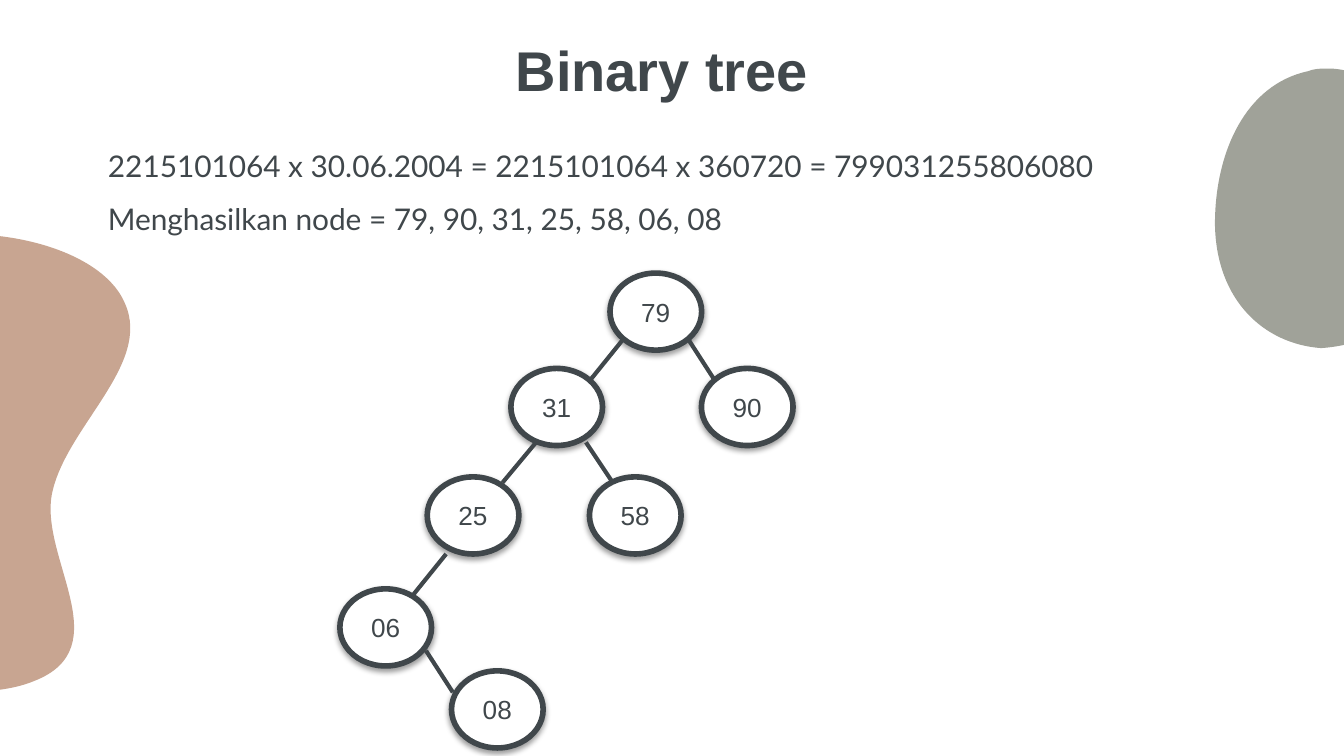
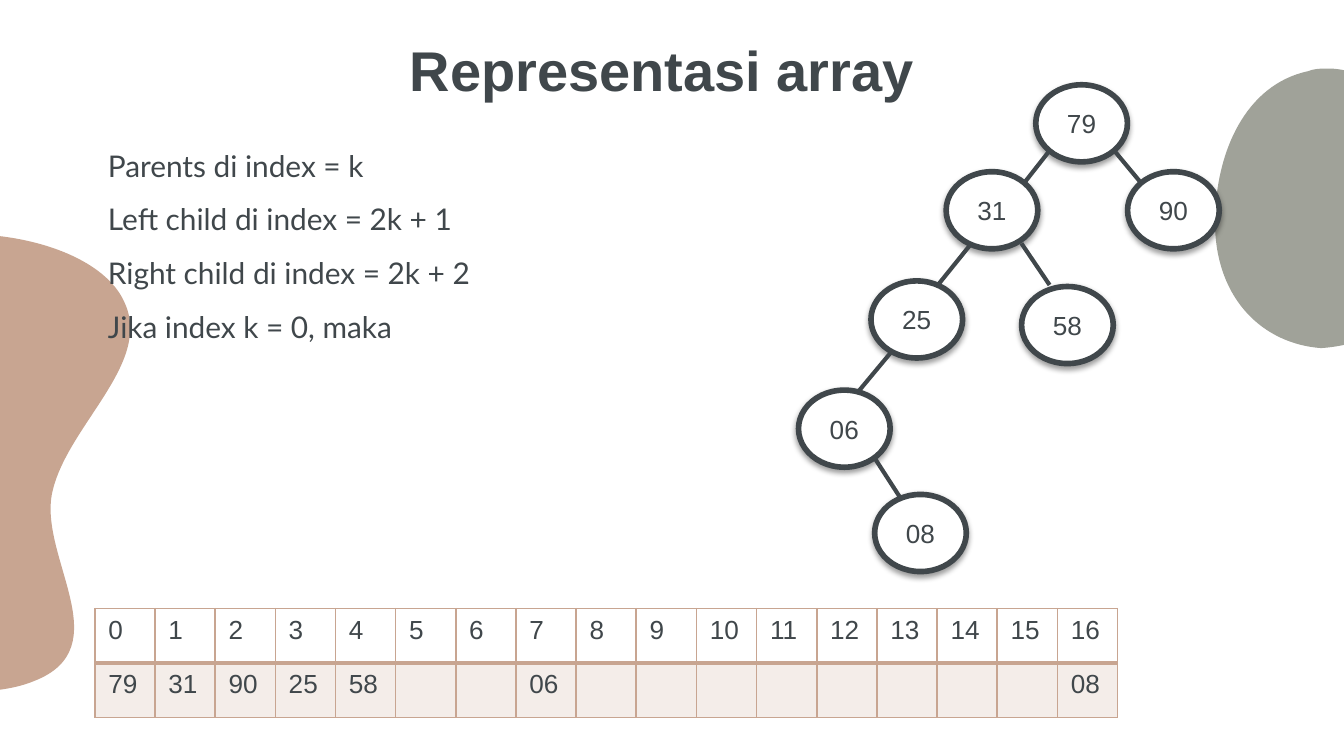
from math import cos, radians, sin

from lxml.etree import SubElement
from pptx import Presentation
from pptx.dml.color import RGBColor
from pptx.enum.shapes import MSO_CONNECTOR as Connector, MSO_SHAPE as Shape
from pptx.enum.text import MSO_ANCHOR as Anchor, PP_ALIGN as Align
from pptx.oxml.ns import qn
from pptx.util import Pt

INK = RGBColor(0x40, 0x47, 0x4B)
CLAY = RGBColor(0xC8, 0xA5, 0x91)
SAGE = RGBColor(0xA0, 0xA2, 0x99)
WHITE = RGBColor(0xFF, 0xFF, 0xFF)

SLIDE_W, SLIDE_H = 720, 405
TITLE_BOX = (50.8, 19.5, 607.7, 42.8)
BODY_BOX = (50.8, 62.1, 607.7, 271.4)
TABLE_BOX = (50.8, 326.1, 548.2, 58.3)
NODE_W, NODE_H = 49.1, 41.3

CLAY_BOX = (-278.6, 32.4, 368.6, 334.8)
CLAY_TURN = 11.2
CLAY_START = (-122.4, 80.6)
CLAY_CURVES = [
    (-116.6, 115.2, -115.9, 151.2, -66.2, 133.2),
    (-17.3, 115.2, 53.3, 129.6, 67, 162.7),
    (81.4, 195.1, 36, 228.2, 28.1, 263.5),
    (20.2, 298.1, 64.8, 347, 18, 365),
    (-28.1, 383.8, -130.3, 351.4, -110.2, 300.2),
    (-90.7, 248.4, -138.2, 222.5, -179.3, 193),
    (-220.3, 162.7, -257, 76.3, -207.4, 46.8),
    (-157, 17.3, -127.4, 45.4, -122.4, 80.6),
]
SAGE_BOX = (650.9, 36.7, 115.2, 150.5)
SAGE_START = (711.4, 36.7)
SAGE_CURVES = [
    (707.8, 36.7, 704.2, 36.7, 700.6, 38.2),
    (667.4, 45.4, 650.9, 81.4, 650.9, 120.2),
    (651.6, 161.3, 677.5, 184.3, 707.8, 186.5),
    (748.1, 183.6, 759.6, 159.1, 762.5, 118.8),
    (765.4, 81.4, 747.4, 36.7, 711.4, 36.7),
]

TREE_NODES = [
    ("79", 144.7, 0), ("31", 91.6, 51.1), ("25", 46.8, 109.2),
    ("58", 133.7, 109.2), ("08", 59.8, 213.1), ("06", 0, 169.2),
    ("90", 193.7, 51.1),
]
TREE_EDGES = [
    (151.9, 35.3, 133.9, 57.6), (105.1, 90.7, 87.1, 112.3),
    (56.9, 150.5, 38.9, 172.8), (186.5, 35.3, 200.9, 57.6),
    (131.8, 90.7, 146.2, 112.3), (46.1, 202.3, 60.5, 224.6),
]
ARRAY_NODES = [
    ("79", 127.2, 0), ("31", 79.2, 46.6), ("25", 38.9, 105.1),
    ("58", 119.6, 108.1), ("08", 40.9, 219.5), ("06", 0.1, 163.6),
    ("90", 176.4, 46.6),
]
ARRAY_EDGES = [
    (134.6, 35.3, 121, 52.6), (92.2, 85.7, 74.2, 108),
    (49.7, 143.3, 31.7, 164.9), (169.2, 35.3, 183.6, 52.6),
    (119.5, 85, 134.6, 107.3), (41, 200.2, 55.4, 222.5),
]
ARRAY_SIZE = 17
ARRAY_VALUES = {0: "79", 1: "31", 2: "90", 3: "25", 4: "58", 7: "06", 16: "08"}


def points(values):
    return [Pt(v) for v in values]


def write(p, text, size=14, font="Arial", bold=False, align=None, spacing=None):
    p.alignment = align
    p.line_spacing = spacing
    r = p.add_run()
    r.text = text
    r.font.name = font
    r.font.size = Pt(size)
    r.font.bold = bold
    r.font.color.rgb = INK


def add_text(s, box, lines, anchor=Anchor.TOP, **style):
    tf = s.shapes.add_textbox(*points(box)).text_frame
    tf.word_wrap = True
    tf.vertical_anchor = anchor
    tf.margin_left = tf.margin_right = tf.margin_top = tf.margin_bottom = Pt(7.2)
    for i, line in enumerate(lines):
        write(tf.add_paragraph() if i else tf.paragraphs[0], line, **style)


def add_blob(s, box, start, curves, color, turn=0):
    left, top, width, height = box
    cx, cy = left + width / 2, top + height / 2
    ca, sa = cos(radians(turn)), sin(radians(turn))

    def add_step(path, tag, coords):
        step = SubElement(path, qn(tag))
        for x, y in zip(coords[::2], coords[1::2]):
            dx, dy = x - cx, y - cy
            SubElement(step, qn("a:pt"),
                       x=str(Pt(width / 2 + dx * ca + dy * sa)),
                       y=str(Pt(height / 2 - dx * sa + dy * ca)))

    builder = s.shapes.build_freeform(Pt(left), Pt(top))
    builder.add_line_segments([(Pt(left + width), Pt(top + height))])
    sp = builder.convert_to_shape()
    path = next(sp._element.spPr.iter(qn("a:path")))
    for step in list(path):
        path.remove(step)
    add_step(path, "a:moveTo", start)
    for curve in curves:
        add_step(path, "a:cubicBezTo", curve)
    SubElement(path, qn("a:close"))
    sp.rotation = turn
    sp.shadow.inherit = False
    sp.fill.solid()
    sp.fill.fore_color.rgb = color
    sp.line.fill.background()


def add_node(s, text, left, top):
    sp = s.shapes.add_shape(Shape.OVAL, *points((left, top, NODE_W, NODE_H)))
    sp.fill.solid()
    sp.fill.fore_color.rgb = WHITE
    sp.line.color.rgb = INK
    sp.line.width = Pt(3)
    sp.shadow.inherit = False
    effects = sp._element.spPr.find(qn("a:effectLst"))
    shadow = SubElement(effects, qn("a:outerShdw"), blurRad=str(Pt(3.1)),
                        dist=str(Pt(1.6)), dir="5400000", rotWithShape="0")
    black = SubElement(shadow, qn("a:srgbClr"), val="000000")
    SubElement(black, qn("a:alpha"), val="38000")
    sp.text_frame.vertical_anchor = Anchor.MIDDLE
    write(sp.text_frame.paragraphs[0], text, align=Align.CENTER)


def add_edge(s, ends):
    line = s.shapes.add_connector(Connector.STRAIGHT, *points(ends))
    line.line.color.rgb = INK
    line.line.width = Pt(2.25)
    SubElement(line._element.spPr, qn("a:effectLst"))


def add_tree(s, left, top, nodes, edges):
    for text, x, y in nodes:
        add_node(s, text, left + x, top + y)
    for x1, y1, x2, y2 in edges:
        add_edge(s, (left + x1, top + y1, left + x2, top + y2))


def set_borders(cell, bottom):
    tc_pr = cell._tc.get_or_add_tcPr()
    for side, width in (("L", 1), ("R", 1), ("T", 1), ("B", bottom)):
        ln = SubElement(tc_pr, qn(f"a:ln{side}"), w=str(Pt(width)))
        fill = SubElement(ln, qn("a:solidFill"))
        SubElement(fill, qn("a:srgbClr"), val=str(CLAY))


def tint(cell):
    cell.fill.solid()
    cell.fill.fore_color.rgb = CLAY
    color = cell._tc.tcPr.find(qn("a:solidFill")).find(qn("a:srgbClr"))
    SubElement(color, qn("a:alpha"), val="20000")


def add_array(s, box):
    table = s.shapes.add_table(2, ARRAY_SIZE, *points(box)).table
    table.first_row = table.horz_banding = False
    for row in table.rows:
        row.height = Pt(box[3] / 2)
    for i, column in enumerate(table.columns):
        column.width = Pt(box[2] / ARRAY_SIZE)
        index, value = table.cell(0, i), table.cell(1, i)
        set_borders(index, bottom=2)
        index.fill.background()
        write(index.text_frame.paragraphs[0], str(i))
        set_borders(value, bottom=1)
        tint(value)
        if i in ARRAY_VALUES:
            write(value.text_frame.paragraphs[0], ARRAY_VALUES[i])


def add_base(prs, title, lines):
    s = prs.slides.add_slide(prs.slide_layouts[6])
    s.background.fill.solid()
    s.background.fill.fore_color.rgb = WHITE
    add_blob(s, CLAY_BOX, CLAY_START, CLAY_CURVES, CLAY, CLAY_TURN)
    add_blob(s, SAGE_BOX, SAGE_START, SAGE_CURVES, SAGE)
    add_text(s, TITLE_BOX, [title], Anchor.BOTTOM, size=30, bold=True,
             align=Align.CENTER)
    add_text(s, BODY_BOX, lines, size=16, font="Lato", spacing=1.5)
    return s


def tree_slide(prs):
    s = add_base(prs, "Binary tree", [
        "2215101064 x 30.06.2004 = 2215101064 x 360720 = 799031255806080",
        "Menghasilkan node = 79, 90, 31, 25, 58, 06, 08",
    ])
    add_tree(s, 182.1, 146.3, TREE_NODES, TREE_EDGES)


def array_slide(prs):
    s = add_base(prs, "Representasi array", [
        "Parents di index = k",
        "Left child di index = 2k + 1",
        "Right child di index = 2k + 2",
        "Jika index k = 0, maka",
    ])
    add_tree(s, 427.7, 45.4, ARRAY_NODES, ARRAY_EDGES)
    add_array(s, TABLE_BOX)


def main():
    prs = Presentation()
    prs.slide_width, prs.slide_height = Pt(SLIDE_W), Pt(SLIDE_H)
    tree_slide(prs)
    array_slide(prs)
    prs.save("out.pptx")


if __name__ == "__main__":
    main()
